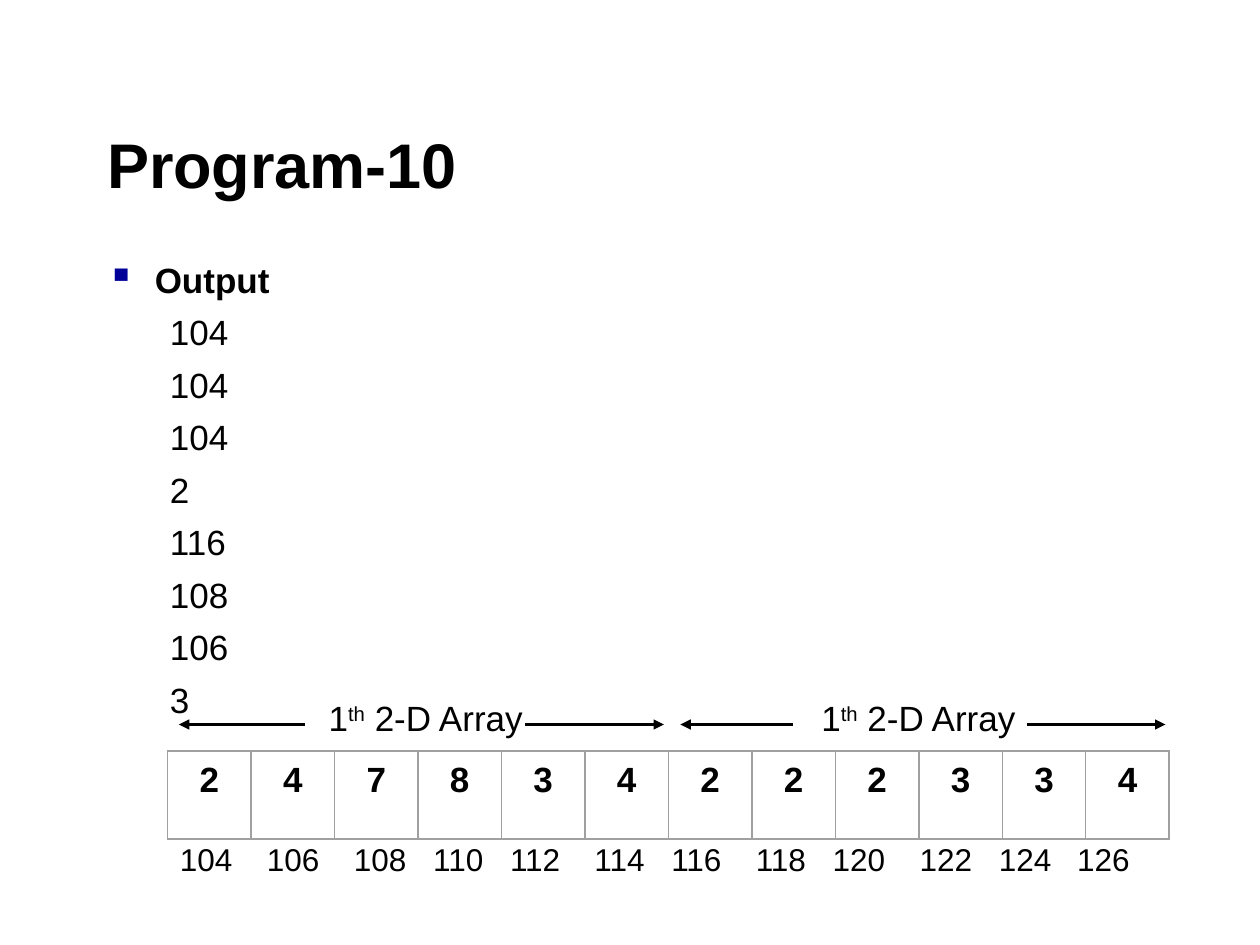
from dataclasses import dataclass
from typing import Any

import lxml.etree
import pptx
import pptx.dml.color
import pptx.enum.shapes
import pptx.enum.text
import pptx.oxml.ns
import pptx.util

Inches = pptx.util.Inches
Pt = pptx.util.Pt
Color = pptx.dml.color.RGBColor
Align = pptx.enum.text.PP_ALIGN
Anchor = pptx.enum.text.MSO_ANCHOR
AutoSize = pptx.enum.text.MSO_AUTO_SIZE
qn = pptx.oxml.ns.qn


@dataclass(frozen=True)
class Theme:
    font: str = "Arial"
    ink: Color = Color(0x00, 0x00, 0x00)
    border: Color = Color(0xA0, 0xA0, 0xA0)
    bullet: str = "000099"
    title_size: int = 36
    body_size: int = 20
    address_size: int = 18


@dataclass(frozen=True)
class Box:
    left: float
    top: float
    width: float
    height: float

    def lengths(self) -> list[int]:
        return [Inches(value) for value in (self.left, self.top, self.width, self.height)]


@dataclass(frozen=True)
class Arrow:
    start: float
    end: float


THEME = Theme()
OUTPUT = ["104", "104", "104", "2", "116", "108", "106", "3"]
CELLS = [2, 4, 7, 8, 3, 4, 2, 2, 2, 3, 3, 4]
ADDRESSES = [str(104 + 2 * index) for index in range(len(CELLS))]
ADDRESS_TABS = [0.69, 1.38, 2.01, 2.62, 3.29, 3.9, 4.57, 5.18, 5.87, 6.5, 7.12]
ARRAY = Box(1.33, 5.96, 7.95, 0.7)
ARROW_TOP = 5.75
ARROWS = [Arrow(4.17, 5.27), Arrow(2.42, 1.42), Arrow(6.29, 5.4), Arrow(8.15, 9.25)]
LABELS = [Box(6.42, 5.48, 1.76, 0.44), Box(2.51, 5.48, 1.76, 0.44)]


def apply(target: Any, values: dict[str, Any]) -> None:
    for name, value in values.items():
        setattr(target, name, value)


def add_span(para: Any, text: str, size: int, bold: bool = False) -> Any:
    span = para.add_run()
    span.text = text
    apply(span.font, {"name": THEME.font, "size": Pt(size), "bold": bold})
    span.font.color.rgb = THEME.ink
    return span


def add_text_box(page: Any, box: Box, wrap: bool = True) -> Any:
    frame = page.shapes.add_textbox(*box.lengths()).text_frame
    frame.word_wrap = wrap
    return frame


def add_title(page: Any, box: Box, text: str) -> None:
    title = page.shapes.title
    apply(title, dict(zip(("left", "top", "width", "height"), box.lengths())))
    apply(title.text_frame, {"vertical_anchor": Anchor.BOTTOM, "auto_size": AutoSize.NONE})
    para = title.text_frame.paragraphs[0]
    para.alignment = Align.JUSTIFY
    add_span(para, text, THEME.title_size, bold=True)


def set_indent(para: Any, margin: float, indent: float) -> Any:
    properties = para._p.get_or_add_pPr()
    properties.set("marL", str(Inches(margin)))
    properties.set("indent", str(Inches(indent)))
    return properties


def add_output(page: Any, box: Box) -> None:
    frame = add_text_box(page, box)
    heading = frame.paragraphs[0]
    heading.space_before = Pt(6)
    add_span(heading, "Output", THEME.body_size, bold=True)
    properties = set_indent(heading, 0.38, -0.38)
    color = lxml.etree.SubElement(properties, qn("a:buClr"))
    lxml.etree.SubElement(color, qn("a:srgbClr"), val=THEME.bullet)
    lxml.etree.SubElement(properties, qn("a:buSzPct"), val="110000")
    lxml.etree.SubElement(properties, qn("a:buChar"), char="▪")
    for value in OUTPUT:
        para = frame.add_paragraph()
        apply(para, {"level": 1, "space_before": Pt(6)})
        set_indent(para, 0.81, -0.31)
        add_span(para, value, THEME.body_size)


def add_rectangle(group: Any, box: Box, line_width: float) -> Any:
    shape = group.shapes.add_shape(pptx.enum.shapes.MSO_SHAPE.RECTANGLE, *box.lengths())
    shape.shadow.inherit = False
    shape.fill.background()
    shape.line.color.rgb = THEME.border
    shape.line.width = Pt(line_width)
    return shape


def add_array(page: Any) -> None:
    group = page.shapes.add_group_shape()
    step = ARRAY.width / len(CELLS)
    for index, value in enumerate(CELLS):
        cell = Box(ARRAY.left + index * step, ARRAY.top, step, ARRAY.height)
        frame = add_rectangle(group, cell, 0).text_frame
        frame.vertical_anchor = Anchor.TOP
        para = frame.paragraphs[0]
        para.alignment = Align.CENTER
        add_span(para, str(value), THEME.body_size, bold=True)
    add_rectangle(group, ARRAY, 0.88)


def add_addresses(page: Any, box: Box) -> None:
    para = add_text_box(page, box).paragraphs[0]
    tabs = lxml.etree.SubElement(para._p.get_or_add_pPr(), qn("a:tabLst"))
    for position in ADDRESS_TABS:
        lxml.etree.SubElement(tabs, qn("a:tab"), pos=str(Inches(position)), algn="l")
    add_span(para, "\t".join(ADDRESSES), THEME.address_size)


def add_arrow(page: Any, arrow: Arrow) -> None:
    line = page.shapes.add_connector(
        pptx.enum.shapes.MSO_CONNECTOR.STRAIGHT,
        Inches(arrow.start), Inches(ARROW_TOP), Inches(arrow.end), Inches(ARROW_TOP),
    )
    line.line.color.rgb = THEME.ink
    line.line.width = Pt(1.5)
    lxml.etree.SubElement(line.line._get_or_add_ln(), qn("a:tailEnd"), type="triangle")
    lxml.etree.SubElement(line._element.spPr, qn("a:effectLst"))


def add_label(page: Any, box: Box) -> None:
    para = add_text_box(page, box, wrap=False).paragraphs[0]
    add_span(para, "1", THEME.body_size)
    ordinal = add_span(para, "th", THEME.body_size)
    ordinal.font._element.set("baseline", "30000")
    add_span(para, " 2-D Array", THEME.body_size)


def main() -> None:
    deck = pptx.Presentation()
    apply(deck, {"slide_width": Inches(10), "slide_height": Inches(7.5)})
    page = deck.slides.add_slide(deck.slide_layouts.get_by_name("Title Only"))

    # Title and program output
    add_title(page, Box(0.75, 0.82, 7.51, 0.83), "Program-10")
    add_output(page, Box(0.75, 2, 8.58, 4.67))

    # Memory cells with their addresses
    add_array(page)
    add_addresses(page, Box(1.33, 6.62, 7.84, 0.4))

    # Extent of each inner array
    for arrow in ARROWS:
        add_arrow(page, arrow)
    for box in LABELS:
        add_label(page, box)

    deck.save("out.pptx")


if __name__ == "__main__":
    main()
